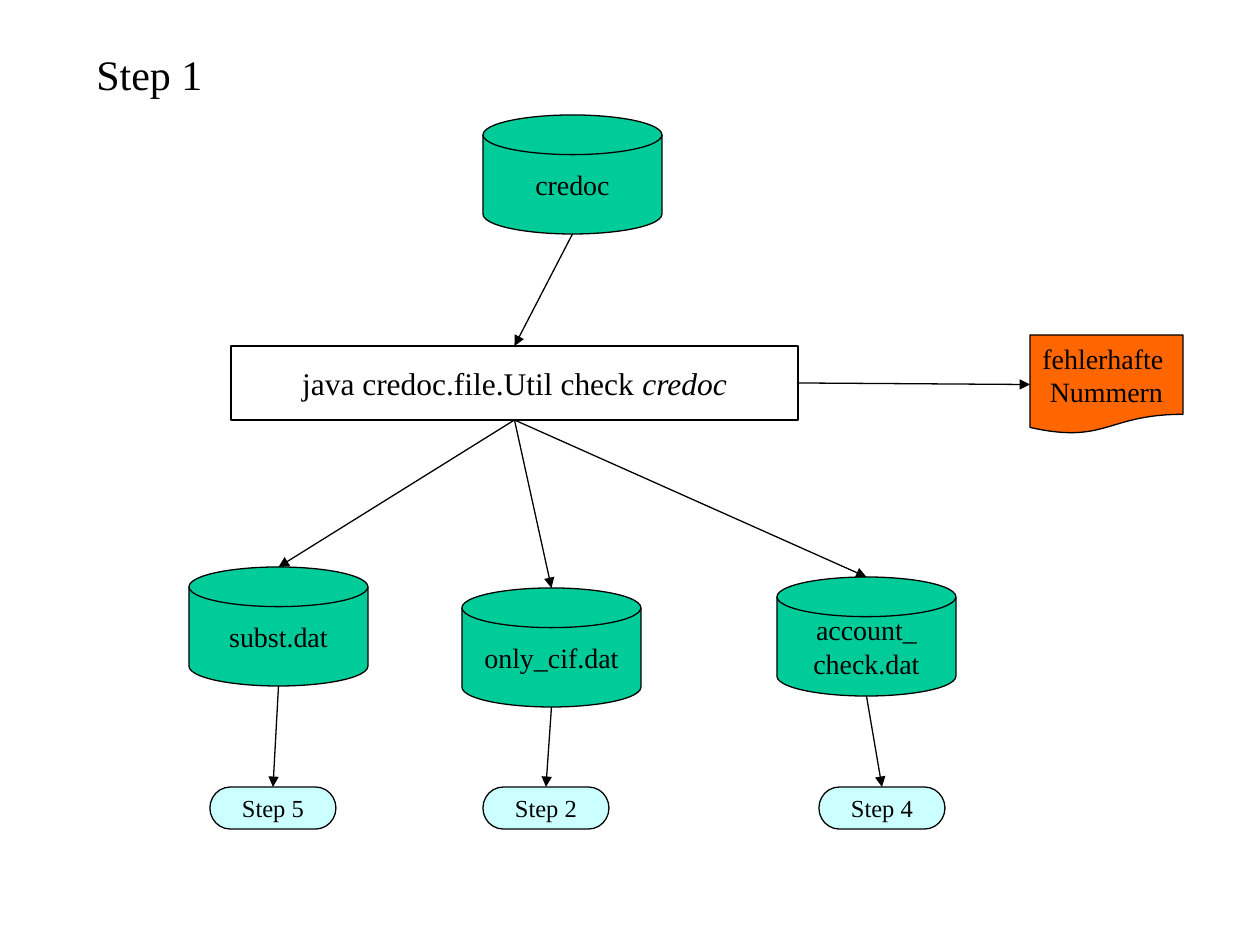
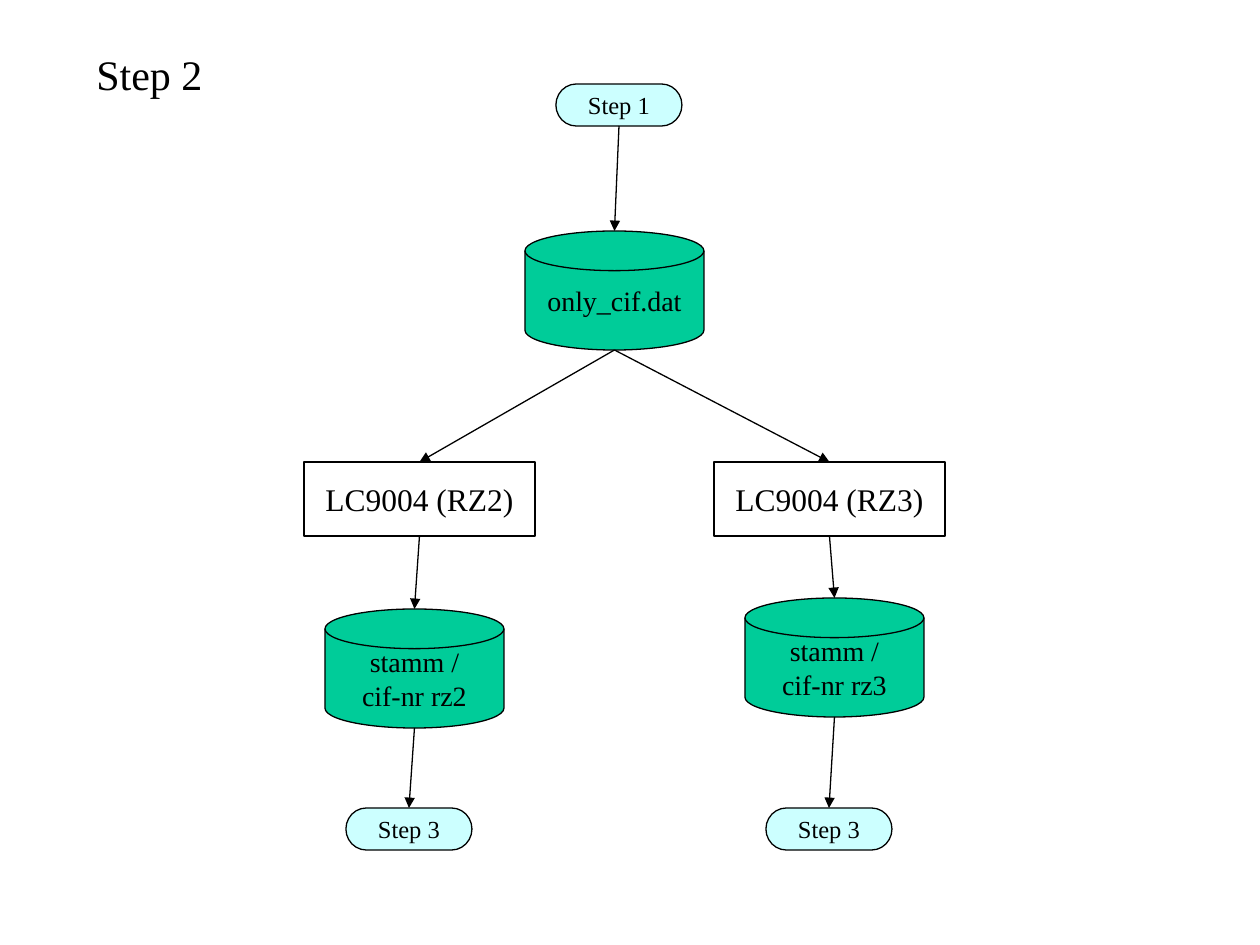
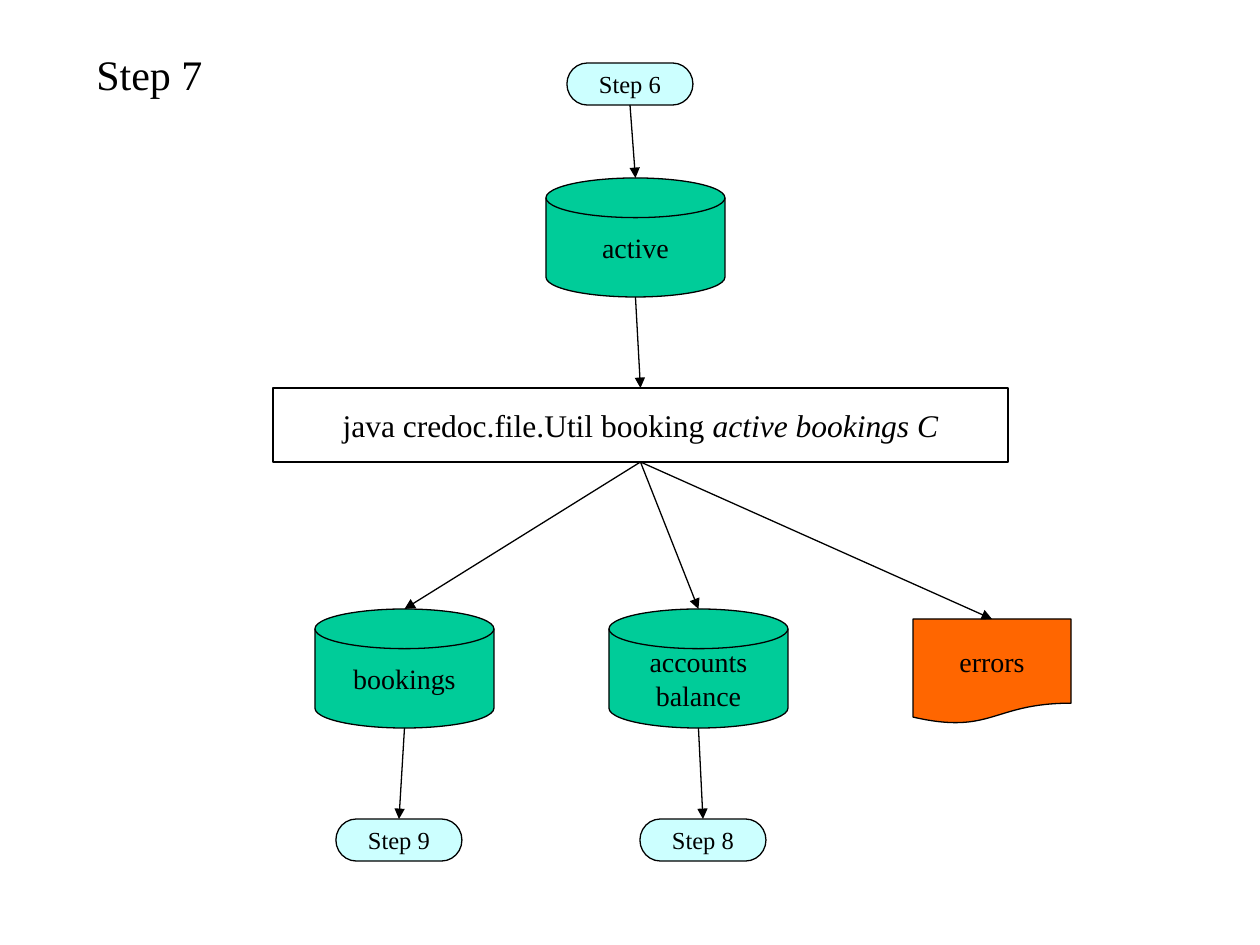
"""Build three flow charts of processing steps."""
from lxml.etree import SubElement
from pptx import Presentation
from pptx.dml.color import RGBColor
from pptx.enum.shapes import MSO_CONNECTOR, MSO_SHAPE
from pptx.enum.text import MSO_ANCHOR, MSO_AUTO_SIZE, PP_ALIGN
from pptx.oxml.ns import qn
from pptx.util import Emu, Pt

FONT = "Times New Roman"
BLACK = RGBColor(0x00, 0x00, 0x00)
DATA_GREEN = RGBColor(0x00, 0xCC, 0x99)
STEP_BLUE = RGBColor(0xCC, 0xFF, 0xFF)
ERROR_ORANGE = RGBColor(0xFF, 0x66, 0x00)
LINE_WIDTH = Pt(0.74)

PIXELS_PER_INCH = 126
SLIDE_SIZE = (1260, 945)
TITLE_BOX = (84, 42, 131, 63)
DISK_SIZE = (179, 119)
STEP_SIZE = (126, 42)
PROCESS_HEIGHT = 74


def px(pixels):
    """Turn pixels into EMU."""
    return Emu(round(pixels * 914400 / PIXELS_PER_INCH))


def format_runs(text_frame, size, alignment):
    """Give all text one font, size, colour and alignment."""
    text_frame.word_wrap = False
    for paragraph in text_frame.paragraphs:
        paragraph.alignment = alignment
        for run in paragraph.runs:
            run.font.name = FONT
            run.font.size = Pt(size)
            run.font.color.rgb = BLACK


def add_flow_slide(presentation, title):
    """Add a blank slide with its title at the top left."""
    slide = presentation.slides.add_slide(presentation.slide_layouts[6])
    box = slide.shapes.add_textbox(*map(px, TITLE_BOX))
    box.text_frame.text = title
    box.text_frame.auto_size = MSO_AUTO_SIZE.SHAPE_TO_FIT_TEXT
    format_runs(box.text_frame, 24, PP_ALIGN.LEFT)
    return slide


def add_node(slide, kind, bounds, text, size, fill=None):
    """Add an outlined shape with centred text."""
    shape = slide.shapes.add_shape(kind, *map(px, bounds))
    shape.shadow.inherit = False
    if fill is None:
        shape.fill.background()
    else:
        shape.fill.solid()
        shape.fill.fore_color.rgb = fill
    shape.line.color.rgb = BLACK
    shape.line.width = LINE_WIDTH
    shape.text_frame.text = text
    shape.text_frame.vertical_anchor = MSO_ANCHOR.MIDDLE
    format_runs(shape.text_frame, size, PP_ALIGN.CENTER)
    return shape


def add_disk(slide, left, top, text):
    """Add a data file."""
    return add_node(slide, MSO_SHAPE.FLOWCHART_MAGNETIC_DISK,
                    (left, top, *DISK_SIZE), text, 16, DATA_GREEN)


def add_step(slide, left, top, text):
    """Add a reference to another step."""
    return add_node(slide, MSO_SHAPE.FLOWCHART_TERMINATOR,
                    (left, top, *STEP_SIZE), text, 14, STEP_BLUE)


def add_document(slide, bounds, text):
    """Add an error report."""
    return add_node(slide, MSO_SHAPE.FLOWCHART_DOCUMENT, bounds, text, 16,
                    ERROR_ORANGE)


def add_process(slide, left, top, width, command, arguments=""):
    """Add a program call, with its arguments in italics."""
    shape = add_node(slide, MSO_SHAPE.RECTANGLE,
                     (left, top, width, PROCESS_HEIGHT), command, 18)
    if arguments:
        run = shape.text_frame.paragraphs[0].add_run()
        run.text = arguments
        run.font.italic = True
        format_runs(shape.text_frame, 18, PP_ALIGN.CENTER)
    return shape


def add_arrow(slide, start, end):
    """Draw a straight arrow between two points in EMU."""
    arrow = slide.shapes.add_connector(MSO_CONNECTOR.STRAIGHT, *start, *end)
    arrow.line.color.rgb = BLACK
    arrow.line.width = LINE_WIDTH
    SubElement(arrow.line._get_or_add_ln(), qn("a:tailEnd"), type="triangle")
    SubElement(arrow._element.spPr, qn("a:effectLst"))


def link_down(slide, source, *targets):
    """Point from the bottom of a shape to the top of each target."""
    start = (source.left + source.width // 2, source.top + source.height)
    for target in targets:
        add_arrow(slide, start, (target.left + target.width // 2, target.top))


def link_right(slide, source, target):
    """Point from the right side of a shape to the left of the target."""
    add_arrow(slide,
              (source.left + source.width, source.top + source.height // 2),
              (target.left, target.top + target.height // 2))


def build_check(presentation):
    """Step 1: check the credoc file."""
    slide = add_flow_slide(presentation, "Step 1")
    credoc = add_disk(slide, 483, 115, "credoc")
    check = add_process(slide, 231, 346, 567,
                        "java credoc.file.Util check ", "credoc")
    errors = add_document(slide, (1030, 335, 153, 99),
                          "fehlerhafte \nNummern")
    subst = add_disk(slide, 189, 567, "subst.dat")
    only_cif = add_disk(slide, 462, 588, "only_cif.dat")
    account = add_disk(slide, 777, 577, "account_\ncheck.dat")
    link_down(slide, credoc, check)
    link_right(slide, check, errors)
    link_down(slide, check, subst, only_cif, account)
    for disk, left, text in ((subst, 210, "Step 5"),
                             (only_cif, 483, "Step 2"),
                             (account, 819, "Step 4")):
        link_down(slide, disk, add_step(slide, left, 787, text))


def build_lookup(presentation):
    """Step 2: look up the master data in both centres."""
    slide = add_flow_slide(presentation, "Step 2")
    previous = add_step(slide, 556, 84, "Step 1")
    only_cif = add_disk(slide, 525, 231, "only_cif.dat")
    link_down(slide, previous, only_cif)
    for centre, left, disk_left, disk_top, step_left in (
            (2, 304, 325, 609, 346), (3, 714, 745, 598, 766)):
        lookup = add_process(slide, left, 462, 231, f"LC9004 (RZ{centre})")
        disk = add_disk(slide, disk_left, disk_top,
                        f"stamm /\ncif-nr rz{centre}")
        following = add_step(slide, step_left, 808, "Step 3")
        link_down(slide, only_cif, lookup)
        link_down(slide, lookup, disk)
        link_down(slide, disk, following)


def build_booking(presentation):
    """Step 7: create the bookings."""
    slide = add_flow_slide(presentation, "Step 7")
    previous = add_step(slide, 567, 63, "Step 6")
    active = add_disk(slide, 546, 178, "active")
    booking = add_process(slide, 273, 388, 735,
                          "java credoc.file.Util booking ",
                          "active bookings C")
    bookings = add_disk(slide, 315, 609, "bookings")
    balance = add_disk(slide, 609, 609, "accounts\nbalance")
    errors = add_document(slide, (913, 619, 158, 105), "errors")
    link_down(slide, previous, active)
    link_down(slide, active, booking)
    link_down(slide, booking, bookings, balance, errors)
    for disk, left, text in ((bookings, 336, "Step 9"),
                             (balance, 640, "Step 8")):
        link_down(slide, disk, add_step(slide, left, 819, text))


def main():
    """Build and save the presentation."""
    presentation = Presentation()
    presentation.slide_width, presentation.slide_height = map(px, SLIDE_SIZE)
    build_check(presentation)
    build_lookup(presentation)
    build_booking(presentation)
    presentation.save("out.pptx")


main()
